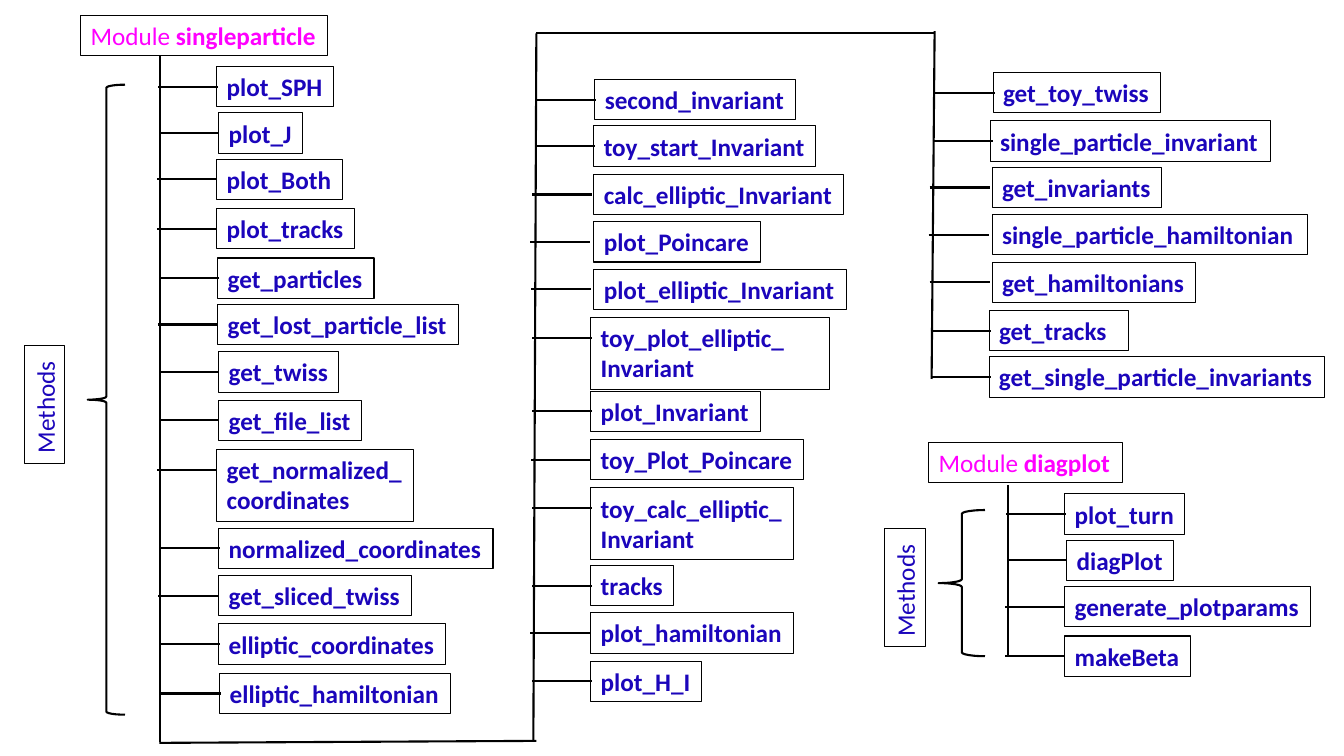
from pptx import Presentation
from pptx.dml.color import RGBColor
from pptx.enum.shapes import MSO_CONNECTOR, MSO_SHAPE
from pptx.enum.text import MSO_AUTO_SIZE, PP_ALIGN
from pptx.oxml.ns import qn
from pptx.util import Inches, Pt
from lxml.etree import SubElement

THEME = {
    "font": "Calibri", "size": Pt(18),
    "module": RGBColor(0xFF, 0x00, 0xFF),
    "method": RGBColor(0x1B, 0x05, 0xBB),
    "line": RGBColor(0x00, 0x00, 0x00),
    "border": Pt(0.75), "stroke": Pt(1.5),
}
ROW_HEIGHT, TALL_HEIGHT, BRANCH_LENGTH = 0.4, 0.71, 0.595

# Module headings: name, left, top, width
MODULES = [("singleparticle", 0.8, 0.15, 2.45), ("diagplot", 9.21, 4.39, 1.92)]

# Methods: name, left, top, width, start of the branch line
METHODS = [
    # singleparticle, first column
    ("plot_SPH", 2.15, 0.66, 1.16, 1.57),
    ("plot_J", 2.17, 1.12, 0.83, 1.58),
    ("plot_Both", 2.15, 1.58, 1.25, 1.56),
    ("plot_tracks", 2.15, 2.07, 1.37, 1.56),
    ("get_particles", 2.16, 2.56, 1.55, 1.58),
    ("get_lost_particle_list", 2.16, 3.02, 2.39, 1.57),
    ("get_twiss", 2.17, 3.49, 1.19, 1.58),
    ("get_file_list", 2.17, 3.97, 1.42, 1.58),
    ("get_normalized_\ncoordinates", 2.15, 4.46, 1.95, 1.56),
    ("normalized_coordinates", 2.17, 5.24, 2.72, 1.59),
    ("get_sliced_twiss", 2.17, 5.71, 1.91, 1.57),
    ("elliptic_coordinates", 2.17, 6.19, 2.25, 1.59),
    ("elliptic_hamiltonian", 2.18, 6.68, 2.29, 1.6),
    # singleparticle, second column
    ("second_invariant", 5.9, 0.79, 1.99, 5.32),
    ("toy_start_Invariant", 5.89, 1.25, 2.2, 5.31),
    ("calc_elliptic_Invariant", 5.89, 1.73, 2.48, 5.28),
    ("plot_Poincare", 5.89, 2.2, 1.65, 5.26),
    ("plot_elliptic_Invariant", 5.89, 2.67, 2.51, 5.27),
    ("toy_plot_elliptic_\nInvariant", 5.86, 3.15, 2.37, 5.28),
    ("plot_Invariant", 5.86, 3.88, 1.68, 5.28),
    ("toy_Plot_Poincare", 5.86, 4.36, 2.11, 5.27),
    ("toy_calc_elliptic_\nInvariant", 5.86, 4.84, 2.01, 5.28),
    ("tracks", 5.86, 5.61, 0.82, 5.28),
    ("plot_hamiltonian", 5.86, 6.08, 2.01, 5.26),
    ("plot_H_I", 5.86, 6.56, 1.1, 5.28),
    # singleparticle, third column
    ("get_toy_twiss", 9.85, 0.72, 1.66, 9.27),
    ("single_particle_invariant", 9.82, 1.2, 2.78, 9.25),
    ("get_invariants", 9.84, 1.66, 1.68, 9.22),
    ("single_particle_hamiltonian", 9.84, 2.13, 3.13, 9.21),
    ("get_hamiltonians", 9.84, 2.6, 2.02, 9.22),
    ("get_tracks", 9.81, 3.08, 1.38, 9.23),
    ("get_single_particle_invariants", 9.81, 3.54, 3.33, 9.23),
    # diagplot
    ("plot_turn", 10.56, 4.9, 1.19, 9.98),
    ("diagPlot", 10.58, 5.36, 1.06, 9.99),
    ("generate_plotparams", 10.56, 5.82, 2.44, 9.97),
    ("makeBeta", 10.56, 6.31, 1.25, 9.97),
]
WIDE_BOXES = {"toy_plot_elliptic_\nInvariant", "get_tracks"}

# Trunk lines: from x, from y, to x, to y
TRUNKS = [
    (1.59, 0.56, 1.59, 7.36), (1.58, 7.37, 5.32, 7.35),
    (5.32, 0.33, 5.29, 7.36), (5.32, 0.33, 9.27, 0.33),
    (9.27, 0.31, 9.24, 3.76), (10, 4.81, 10, 6.52),
]
# Braces and the upright labels beside them: left, top, width, height
BRACES = [(0.87, 0.84, 0.37, 6.25), (9.31, 5.06, 0.46, 1.45)]
BRACE_LABELS = [(-0.14, 3.81, 1.17, ROW_HEIGHT), (8.39, 5.63, 1.17, ROW_HEIGHT)]


def set_line(shape, width):
    shape.line.color.rgb = THEME["line"]
    shape.line.width = width


def add_line(slide, *ends):
    connector = slide.shapes.add_connector(
        MSO_CONNECTOR.STRAIGHT, *[Inches(value) for value in ends])
    set_line(connector, THEME["stroke"])
    SubElement(connector._element.spPr, qn("a:effectLst"))


def add_box(slide, text, frame, color, bold=False, wrap=False):
    box = slide.shapes.add_textbox(*[Inches(value) for value in frame])
    set_line(box, THEME["border"])
    text_frame = box.text_frame
    text_frame.text = text
    text_frame.word_wrap = wrap
    text_frame.auto_size = MSO_AUTO_SIZE.SHAPE_TO_FIT_TEXT
    for paragraph in text_frame.paragraphs:
        paragraph.alignment = PP_ALIGN.LEFT
        for run in paragraph.runs:
            style_run(run, color, bold)
    return box


def style_run(run, color, bold):
    run.font.name = THEME["font"]
    run.font.size = THEME["size"]
    run.font.color.rgb = color
    run.font.bold = bold


def main():
    presentation = Presentation()
    presentation.slide_width = Inches(13.33)
    presentation.slide_height = Inches(7.5)
    slide = presentation.slides.add_slide(presentation.slide_layouts[6])

    # Module headings
    for name, left, top, width in MODULES:
        heading = add_box(slide, "Module ", (left, top, width, ROW_HEIGHT), THEME["module"])
        name_run = heading.text_frame.paragraphs[0].add_run()
        name_run.text = name
        style_run(name_run, THEME["module"], True)

    # Trunks
    for ends in TRUNKS:
        add_line(slide, *ends)

    # Methods, each with a branch level with its first text line
    for name, left, top, width, branch_left in METHODS:
        height = TALL_HEIGHT if "\n" in name else ROW_HEIGHT
        add_box(slide, name, (left, top, width, height), THEME["method"],
                bold=True, wrap=name in WIDE_BOXES)
        branch_top = top + ROW_HEIGHT / 2
        add_line(slide, branch_left, branch_top, branch_left + BRANCH_LENGTH, branch_top)

    # Braces with their labels
    for brace_frame, label_frame in zip(BRACES, BRACE_LABELS):
        brace = slide.shapes.add_shape(
            MSO_SHAPE.LEFT_BRACE, *[Inches(value) for value in brace_frame])
        brace.shadow.inherit = False
        brace.fill.background()
        set_line(brace, THEME["stroke"])
        label = add_box(slide, "Methods", label_frame, THEME["method"], wrap=True)
        label.rotation = 270

    presentation.save("out.pptx")


if __name__ == "__main__":
    main()
